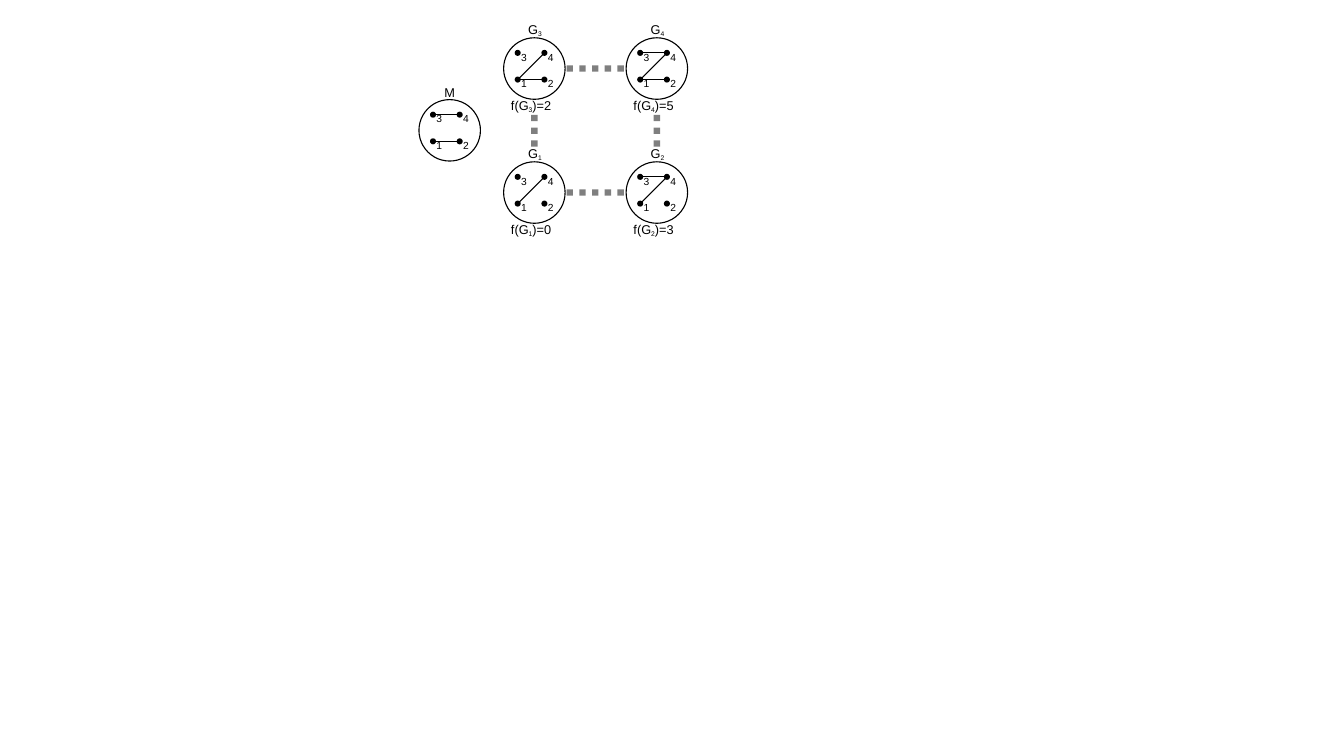
from pptx import Presentation
from pptx.util import Inches, Pt
from pptx.dml.color import RGBColor
from pptx.enum import dml, shapes, text
from pptx.oxml.ns import qn
from lxml import etree

# Content: graph -> (column, row, value of f, edges)
GRAPHS = {
    "1": (1, 2, "0", ["14"]),
    "2": (2, 2, "3", ["14", "43"]),
    "3": (1, 0, "2", ["14", "12"]),
    "4": (2, 0, "5", ["14", "12", "43"]),
    "M": (0, 1, None, ["12", "43"]),
}
LINKS = [("1", "2"), ("3", "4"), ("3", "1"), ("4", "2")]

# Layout in inches: centres of the columns and rows, offsets from a centre
COLORS = {"ink": "000000"}
COLUMNS = [4.46, 5.3, 6.515]
ROWS = [0.68, 1.293, 1.91]
NODES = {"1": (-0.165, 0.11), "2": (0.1, 0.11),
         "4": (0.1, -0.155), "3": (-0.165, -0.155)}
CIRCLE, DOT = 0.61, 0.06
LINK_GAP = 0.32             # from a centre to the end of a horizontal link
LINK_TOP, LINK_END = 0.46, 0.44  # vertical links leave room for the labels

prs = Presentation()
prs.slide_width, prs.slide_height = Inches(13.33), Inches(7.5)
s = prs.slides.add_slide(prs.slide_layouts[6])
INK = RGBColor.from_string(COLORS["ink"])


def centre(graph):
    column, row = GRAPHS[graph][:2]
    return COLUMNS[column], ROWS[row]


def add_oval(x, y, size, filled):
    sp = s.shapes.add_shape(shapes.MSO_SHAPE.OVAL, Inches(x - size / 2),
                            Inches(y - size / 2), Inches(size), Inches(size))
    sp.shadow.inherit = False
    if filled:
        sp.fill.solid()
        sp.fill.fore_color.rgb = INK
        sp.line.fill.background()
    else:
        sp.fill.background()
        sp.line.color.rgb = INK
        sp.line.width = Pt(0.79)


def add_line(x1, y1, x2, y2, width):
    line = s.shapes.add_connector(shapes.MSO_CONNECTOR.STRAIGHT, Inches(x1),
                                  Inches(y1), Inches(x2), Inches(y2))
    line.line.color.rgb = INK
    line.line.width = Pt(width)
    etree.SubElement(line._element.spPr, qn("a:effectLst"))
    return line


def add_label(x, y, w, h, size, before, subscript="", after=""):
    tf = s.shapes.add_textbox(Inches(x), Inches(y), Inches(w), Inches(h)).text_frame
    tf.word_wrap = False
    tf.auto_size = text.MSO_AUTO_SIZE.SHAPE_TO_FIT_TEXT
    p = tf.paragraphs[0]
    for part, points in ((before, size), (subscript, 8.2), (after, size)):
        if part:
            r = p.add_run()
            r.text = part
            r.font.name, r.font.size = "Arial", Pt(points)
            r.font.color.rgb = INK
            if part is subscript:
                r._r.get_or_add_rPr().set("baseline", "-18000")


# Graphs: nodes, circle, edges and labels
for name, (_, _, value, edges) in GRAPHS.items():
    cx, cy = centre(name)
    nodes = {n: (cx + dx, cy + dy) for n, (dx, dy) in NODES.items()}
    for x, y in nodes.values():
        add_oval(x, y, DOT, True)
    add_oval(cx, cy, CIRCLE, False)
    for n, (x, y) in nodes.items():
        add_label(x - 0.065, y - 0.07, 0.25, 0.23, 7.3, n)
    for start, end in edges:
        add_line(*nodes[start], *nodes[end], 0.73)
    if value is None:
        add_label(cx - 0.15, cy - 0.5, 0.3, 0.25, 9.1, name)
    else:
        add_label(cx - 0.16, cy - 0.515, 0.35, 0.3, 9.1, "G", name)
        add_label(cx - 0.33, cy + 0.245, 0.63, 0.3, 9.1, "f(G", name, f")={value}")

# Dotted links between neighbouring graphs
for first, second in LINKS:
    (x1, y1), (x2, y2) = centre(first), centre(second)
    if y1 == y2:
        link = add_line(x1 + LINK_GAP, y1, x2 - LINK_GAP, y2, 4.54)
    else:
        link = add_line(x1, y1 + LINK_TOP, x2, y2 - LINK_END, 4.54)
    link.line.dash_style = dml.MSO_LINE.ROUND_DOT
    color = link.line._ln.find(".//" + qn("a:srgbClr"))
    etree.SubElement(color, qn("a:alpha"), val="50000")

prs.save("out.pptx")
